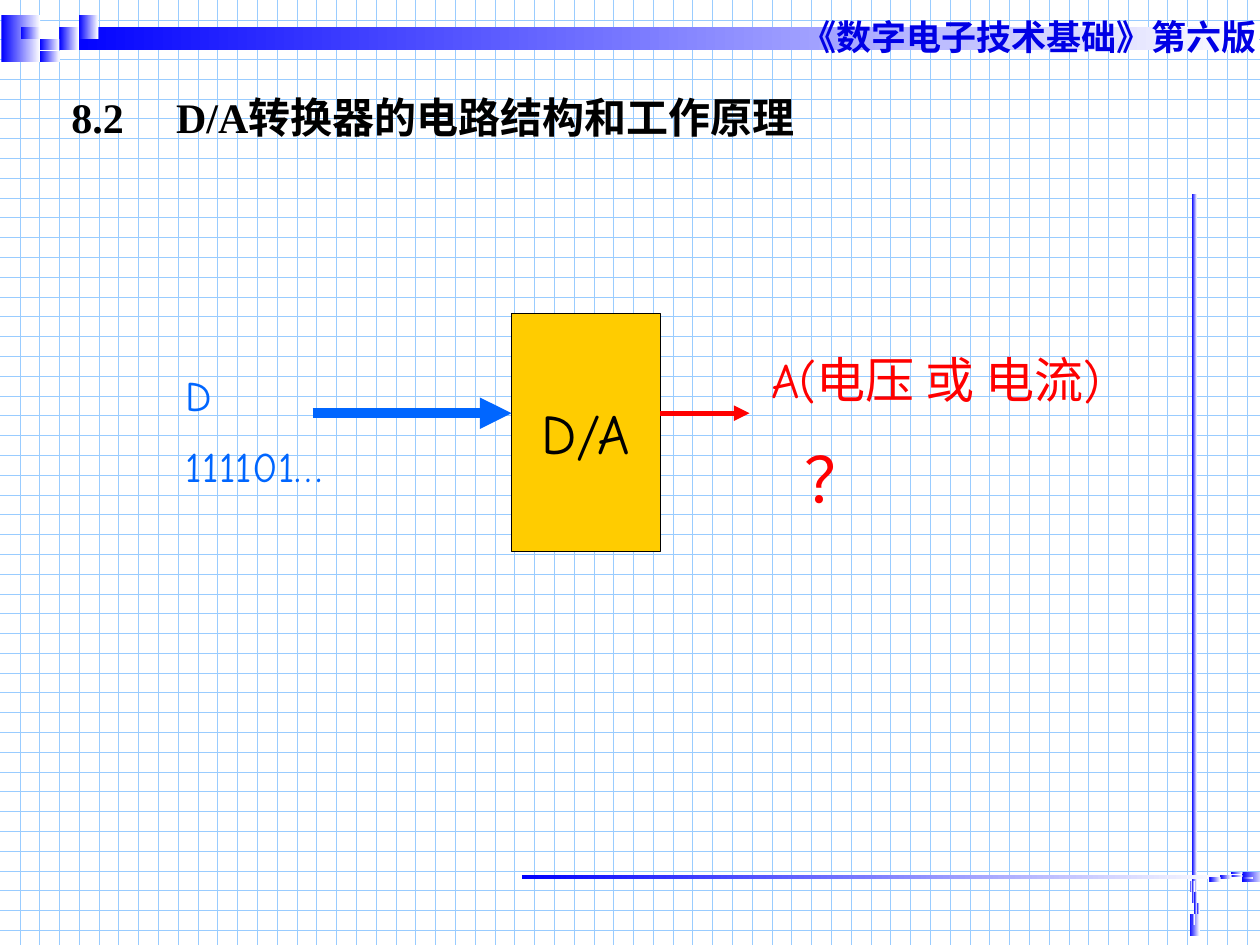
from lxml import etree
from pptx import Presentation
from pptx.dml.color import RGBColor
from pptx.enum.dml import MSO_PATTERN
from pptx.enum.shapes import MSO_CONNECTOR, MSO_SHAPE
from pptx.enum.text import MSO_ANCHOR, PP_ALIGN
from pptx.oxml.ns import qn
from pptx.util import Cm, Pt

RECTANGLE = MSO_SHAPE.RECTANGLE
STRAIGHT = MSO_CONNECTOR.STRAIGHT
DOT_GRID = MSO_PATTERN.DOTTED_GRID
MIDDLE = MSO_ANCHOR.MIDDLE
LEFT, CENTER = PP_ALIGN.LEFT, PP_ALIGN.CENTER

HAND_FONT = "Comic Neue"
BLUE, WHITE, BLACK = "0000FF", "FFFFFF", "000000"
DIGITAL_BLUE, ANALOG_RED = "0066FF", "FF0000"
GRID_COLUMNS, GRID_ROWS = 5, 4
SMALL_BLOCKS = [(3, 1), (4, 0), (4, 1), (2, 2), (1, 1), (3, 2), (2, 3)]


def color(hex_string):
    """Return the colour for a hex string."""
    return RGBColor.from_string(hex_string)


def paint_background(slide):
    """Cover the slide with a light blue grid."""
    fill = slide.background.fill
    fill.patterned()
    fill.pattern = DOT_GRID
    fill.fore_color.rgb = color("99CCFF")
    fill.back_color.rgb = color(WHITE)


def add_box(slide, left, top, width, height):
    """Add a rectangle without a shadow, measured in centimetres."""
    box = slide.shapes.add_shape(RECTANGLE, Cm(left), Cm(top), Cm(width), Cm(height))
    box.shadow.inherit = False
    return box


def add_fading_block(slide, left, top, width, height):
    """Add a block that fades from blue to white."""
    block = add_box(slide, left, top, width, height)
    block.line.fill.background()
    block.fill.gradient()
    block.fill.gradient_angle = 0
    for stop, position, shade in zip(block.fill.gradient_stops, (0, 1), (BLUE, WHITE)):
        stop.position = position
        stop.color.rgb = color(shade)


def turn_block(column, row, columns, rows, turn):
    """Turn a block of the motif by 0, 180 or 270 degrees."""
    if turn == 180:
        return GRID_COLUMNS - column - columns, GRID_ROWS - row - rows, columns, rows
    if turn == 270:
        return row, GRID_COLUMNS - column - columns, rows, columns
    return column, row, columns, rows


def add_motif(slide, left, top, cell_width, cell_height, bar_length, turn=0):
    """Add the bar with its cluster of blocks, laid out on a grid of cells."""
    blocks = [(0, 0, 2, 4), (3, 1, bar_length, 2)]
    blocks += [(column, row, 1, 1) for column, row in SMALL_BLOCKS]
    for block in blocks:
        column, row, columns, rows = turn_block(*block, turn)
        add_fading_block(slide, left + column * cell_width, top + row * cell_height,
                         columns * cell_width, rows * cell_height)


def write(paragraph, text, size, font, shade, bold=False, align=LEFT,
          before=0, indent=0, tab=None):
    """Write formatted text into a paragraph."""
    properties = paragraph._p.get_or_add_pPr()
    if indent:
        properties.set("marL", str(Cm(indent)))
    if tab:
        tabs = etree.SubElement(properties, qn("a:tabLst"))
        etree.SubElement(tabs, qn("a:tab"), pos=str(Cm(tab)), algn="l")
    paragraph.alignment = align
    paragraph.space_before = Pt(before)
    run = paragraph.add_run()
    run.text = text
    run.font.size = Pt(size)
    run.font.name = font
    run.font.bold = bold
    run.font.color.rgb = color(shade)


def add_label(slide, left, top, width, height):
    """Add a wrapping text box and return its text frame."""
    label = slide.shapes.add_textbox(Cm(left), Cm(top), Cm(width), Cm(height))
    label.text_frame.word_wrap = True
    return label.text_frame


def add_arrow(slide, start, end, height, shade, weight):
    """Add a horizontal arrow pointing right."""
    arrow = slide.shapes.add_connector(STRAIGHT, Cm(start), Cm(height), Cm(end), Cm(height))
    arrow.line.color.rgb = color(shade)
    arrow.line.width = Pt(weight)
    etree.SubElement(arrow.line._get_or_add_ln(), qn("a:tailEnd"), type="triangle")
    etree.SubElement(arrow._element.spPr, qn("a:effectLst"))


def add_converter(slide):
    """Add the D/A block with its digital input and analog output."""
    digital = add_label(slide, 3.5, 7.32, 4.01, 2.8)
    write(digital.paragraphs[0], "D", 24, HAND_FONT, DIGITAL_BLUE)
    write(digital.add_paragraph(), "111101…", 24, HAND_FONT, DIGITAL_BLUE, before=12)

    converter = add_box(slide, 10.31, 6.32, 3, 4.8)
    converter.fill.solid()
    converter.fill.fore_color.rgb = color("FFCC00")
    converter.line.color.rgb = color(BLACK)
    converter.line.width = Pt(0.75)
    converter.text_frame.word_wrap = False
    converter.text_frame.vertical_anchor = MIDDLE
    write(converter.text_frame.paragraphs[0], "D/A", 32, HAND_FONT, BLACK, align=CENTER)

    add_arrow(slide, 6.3, 10.31, 8.33, DIGITAL_BLUE, 6)
    add_arrow(slide, 13.31, 15.11, 8.33, ANALOG_RED, 3)

    analog = add_label(slide, 15.3, 6.93, 8.79, 3.73)
    write(analog.paragraphs[0], "A(电压 或 电流)", 28, HAND_FONT, ANALOG_RED)
    write(analog.add_paragraph(), "？", 36, HAND_FONT, ANALOG_RED, before=18, indent=0.66)


def main():
    """Build the slide and save it."""
    presentation = Presentation()
    presentation.slide_width, presentation.slide_height = Cm(25.4), Cm(19.05)
    slide = presentation.slides.add_slide(presentation.slide_layouts[6])
    paint_background(slide)
    add_motif(slide, 0.03, 0.3, 0.39, 0.24, bar_length=62)
    add_motif(slide, 23.98, 17.77, 0.05, 0.22, bar_length=65, turn=270)
    add_motif(slide, 24.38, 17.58, 0.22, 0.05, bar_length=65, turn=180)

    book_title = add_label(slide, 15.9, 0.18, 10.31, 1.09)
    write(book_title.paragraphs[0], "《数字电子技术基础》第六版", 20, "Arial", "0000E5", bold=True)
    section = add_label(slide, 1.19, 1.73, 22.61, 1.5)
    write(section.paragraphs[0], "8.2\tD/A转换器的电路结构和工作原理", 24,
          "Times New Roman", BLACK, bold=True, tab=2.11)
    add_converter(slide)
    presentation.save("out.pptx")


if __name__ == "__main__":
    main()
